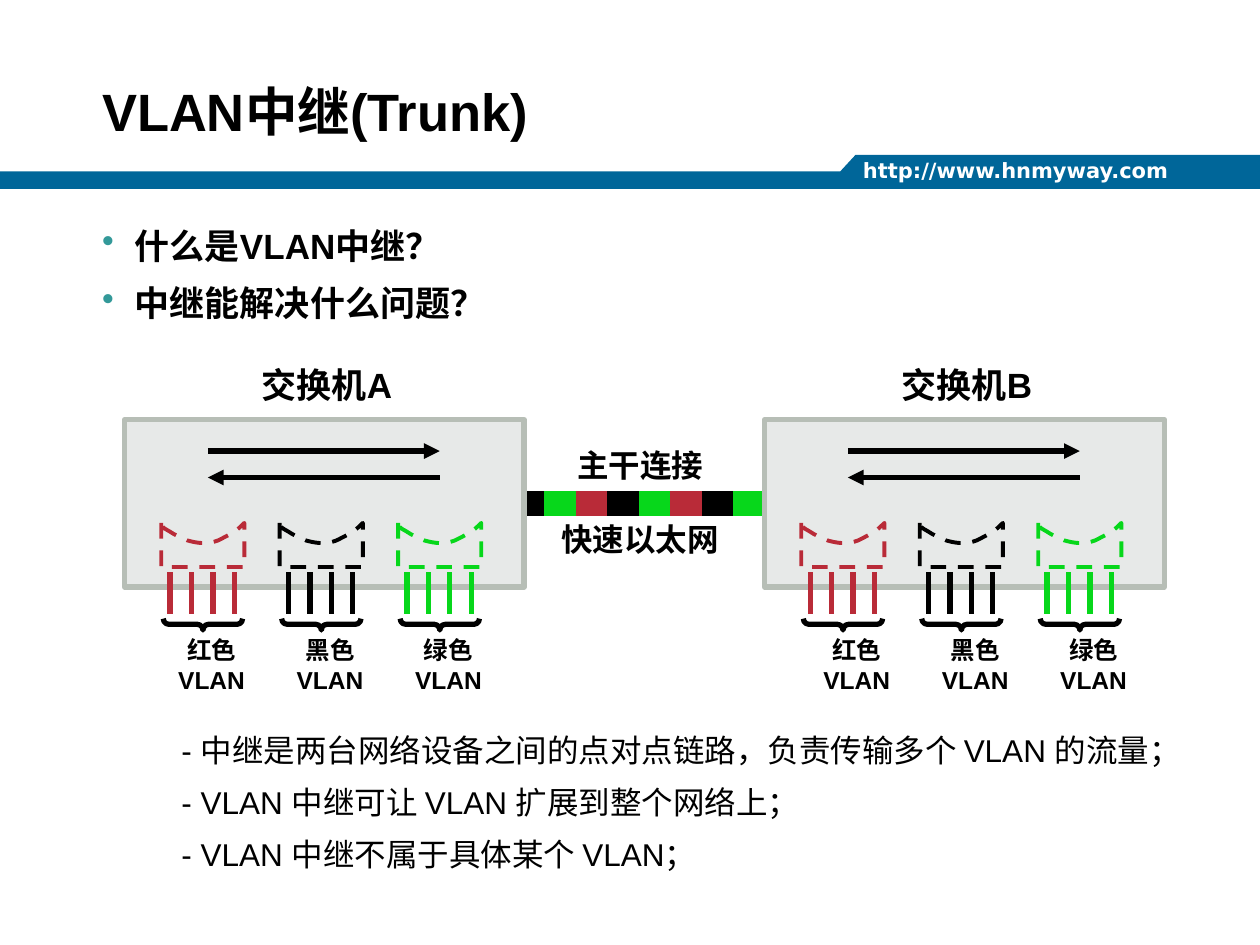
from lxml import etree
from pptx import Presentation
from pptx.dml.color import RGBColor
from pptx.enum.dml import MSO_LINE
from pptx.enum.shapes import MSO_CONNECTOR, MSO_SHAPE
from pptx.enum.text import MSO_ANCHOR, PP_ALIGN
from pptx.oxml.ns import qn
from pptx.util import Inches, Pt

STRAIGHT = MSO_CONNECTOR.STRAIGHT
RECTANGLE, BRACE = MSO_SHAPE.RECTANGLE, MSO_SHAPE.RIGHT_BRACE
DASH = MSO_LINE.DASH
TOP, MIDDLE, BOTTOM = MSO_ANCHOR.TOP, MSO_ANCHOR.MIDDLE, MSO_ANCHOR.BOTTOM
LEFT, CENTER = PP_ALIGN.LEFT, PP_ALIGN.CENTER
LEFT_SIDE, RIGHT_SIDE = 1, 3

# Content
TITLE = "VLAN中继(Trunk)"
ADDRESS = "http://www.hnmyway.com"
QUESTIONS = ["什么是VLAN中继？", "中继能解决什么问题？"]
NOTES = [
    "- 中继是两台网络设备之间的点对点链路，负责传输多个 VLAN 的流量；",
    "- VLAN 中继可让 VLAN 扩展到整个网络上；",
    "- VLAN 中继不属于具体某个 VLAN；",
]
SWITCHES = [("交换机A", 0.99, 0), ("交换机B", 6.07, 0.04)]  # name, left, label shift
VLANS = [("红色", "red"), ("黑色", "black"), ("绿色", "green")]
TRUNK_COLOURS = ["black", "green", "red"]
TRUNK_LABELS = [("主干连接", 3.49), ("快速以太网", 4.08)]

THEME = {
    "font": "Arial", "address_font": "DejaVu Sans",
    "title": 30, "heading": 20, "body": 18, "label": 14, "address": 12,
    "band": "006699", "white": "FFFFFF", "bullet": "339999",
    "red": "B92B38", "black": "000000", "green": "07D71B",
    "switch": "E7E9E8", "switch_edge": "B7BEB6",
}

# Geometry in inches
SWITCH_TOP, SWITCH_WIDTH, SWITCH_HEIGHT = 3.33, 3.17, 1.33
TRUNK_Y, TRUNK_LEFT, TRUNK_STEP, TRUNK_PARTS = SWITCH_TOP + SWITCH_HEIGHT / 2, 4.07, 0.25, 8
TRUNK_CENTER = 5.08
PORT_INSET, PORT_GAP, PORT_TOP, PORT_WIDTH, PORT_HEIGHT = 0.29, 0.94, 4.15, 0.66, 0.35
WIRE_INSET, WIRE_GAP, WIRE_COUNT = 0.07, 0.17, 4
BAND = [(0, 1.5), (0, 1.36), (6.67, 1.36), (6.79, 1.23), (10, 1.23), (10, 1.5)]
# Curved upper edge of a port, from right to left: two controls and an end each
PORT_CURVES = [
    [(0.62, 0.04), (0.62, 0.04), (0.58, 0.07)],
    [(0.53, 0.10), (0.51, 0.11), (0.45, 0.14)],
    [(0.39, 0.16), (0.37, 0.16), (0.33, 0.16)],
    [(0.29, 0.16), (0.25, 0.15), (0.21, 0.14)],
    [(0.17, 0.12), (0.13, 0.11), (0.07, 0.07)],
    [(0.04, 0.05), (0, 0.04), (0, 0)],
]


def colour(name):
    return RGBColor.from_string(THEME[name])


def add_text(lines, left, top, width, height, size, bold=True, ink="black", font="font",
             align=LEFT, anchor=TOP, wrap=True, spacing=None, before=0,
             margins=(0.1, 0.05), indent=0, bullet=False):
    box = page.shapes.add_textbox(Inches(left), Inches(top), Inches(width), Inches(height))
    frame = box.text_frame
    frame.text = "\n".join(lines)
    frame.word_wrap, frame.vertical_anchor = wrap, anchor
    frame.margin_left = frame.margin_right = Inches(margins[0])
    frame.margin_top = frame.margin_bottom = Inches(margins[1])
    for index, para in enumerate(frame.paragraphs):
        para.alignment = align
        if spacing:
            para.line_spacing = spacing
        if index and before:
            para.space_before = Pt(before)
        properties = para._p.get_or_add_pPr()
        if indent:
            properties.set("marL", str(Inches(indent)))
        if bullet:
            properties.set("indent", str(-Inches(indent)))
            tint = etree.SubElement(properties, qn("a:buClr"))
            etree.SubElement(tint, qn("a:srgbClr"), val=THEME["bullet"])
            etree.SubElement(properties, qn("a:buChar"), char="•")
        for span in para.runs:
            span.font.name, span.font.size = THEME[font], Pt(THEME[size])
            span.font.bold, span.font.color.rgb = bold, colour(ink)


def add_centered(lines, center, top, height, size):
    width = 1.5
    add_text(lines, center - width / 2, top, width, height, size,
             align=CENTER, anchor=MIDDLE, wrap=False)


def add_line(x1, y1, x2, y2, ink, weight, arrow=False):
    line = page.shapes.add_connector(STRAIGHT, *map(Inches, (x1, y1, x2, y2)))
    line.line.color.rgb, line.line.width = colour(ink), Pt(weight)
    etree.SubElement(line._element.spPr, qn("a:effectLst"))
    if arrow:
        etree.SubElement(line.line._get_or_add_ln(), qn("a:tailEnd"), type="triangle")
    return line


def style_shape(shape, fill=None, edge=None, weight=3):
    shape.shadow.inherit = False
    if fill:
        shape.fill.solid()
        shape.fill.fore_color.rgb = colour(fill)
    else:
        shape.fill.background()
    if edge:
        shape.line.color.rgb, shape.line.width = colour(edge), Pt(weight)
    else:
        shape.line.fill.background()


def add_outline(points):
    points = [(Inches(x), Inches(y)) for x, y in points]
    builder = page.shapes.build_freeform(*points[0], scale=1.0)
    builder.add_line_segments(points[1:], close=True)
    return builder.convert_to_shape()


def port_points(left, steps=6):
    points = [(0, 0), (0, PORT_HEIGHT), (PORT_WIDTH, PORT_HEIGHT), (PORT_WIDTH, 0)]
    for first, second, end in PORT_CURVES:
        start = points[-1]
        for step in range(1, steps + 1):
            t = step / steps
            weights = ((1 - t) ** 3, 3 * t * (1 - t) ** 2, 3 * t * t * (1 - t), t ** 3)
            corners = (start, first, second, end)
            points.append(tuple(sum(w * c[axis] for w, c in zip(weights, corners))
                                for axis in (0, 1)))
    return [(left + x, PORT_TOP + y) for x, y in points]


def add_port(left, name, ink, label_shift):
    port = add_outline(port_points(left))
    style_shape(port, edge=ink, weight=2.25)
    port.line.dash_style = DASH
    for wire in range(WIRE_COUNT):
        x = left + WIRE_INSET + wire * WIRE_GAP
        add_line(x, 4.54, x, 4.87, ink, 3)
    center = left + PORT_WIDTH / 2
    brace = page.shapes.add_shape(BRACE, Inches(center - 0.045), Inches(4.64),
                                  Inches(0.09), Inches(0.63))
    brace.rotation = 90
    brace.adjustments[0] = 0.5
    style_shape(brace, edge="black")
    add_centered([name, "VLAN"], center + 0.07 + label_shift, 4.99, 0.57, "label")


def add_switch(name, left, label_shift):
    center = left + SWITCH_WIDTH / 2
    add_centered([name], center + 0.02, 2.83, 0.44, "heading")
    switch = page.shapes.add_shape(RECTANGLE, Inches(left), Inches(SWITCH_TOP),
                                   Inches(SWITCH_WIDTH), Inches(SWITCH_HEIGHT))
    style_shape(switch, "switch", "switch_edge")
    start, end = left + 0.66, left + 2.5
    add_line(start, 3.58, end, 3.58, "black", 3, arrow=True)
    add_line(end, 3.79, start, 3.79, "black", 3, arrow=True)
    for index, (vlan, ink) in enumerate(VLANS):
        add_port(left + PORT_INSET + index * PORT_GAP, vlan, ink, label_shift)
    return switch


deck = Presentation()
deck.slide_width, deck.slide_height = Inches(10), Inches(7.5)
page = deck.slides.add_slide(deck.slide_layouts[6])

# Header
style_shape(add_outline(BAND), "band")
add_text([ADDRESS], 6.75, 1.2, 2.92, 0.3, "address", ink="white", font="address_font")
add_text([TITLE], 0.72, 0.25, 8.91, 0.92, "title", anchor=BOTTOM, spacing=0.9,
         margins=(0.09, 0.04))

# Questions and notes
add_text(QUESTIONS, 0.72, 1.79, 8.9, 0.9, "heading", spacing=0.85, before=12.5,
         margins=(0.09, 0.04), indent=0.26, bullet=True)
add_text(NOTES, 0.72, 5.81, 9.28, 1.3, "body", bold=False, spacing=0.85, before=11.2,
         margins=(0.09, 0.04), indent=0.63)

# Trunk, behind the switches it joins
trunk = []
for part in range(TRUNK_PARTS):
    x = TRUNK_LEFT + part * TRUNK_STEP
    ink = TRUNK_COLOURS[part % len(TRUNK_COLOURS)]
    trunk.append(add_line(x, TRUNK_Y, x + TRUNK_STEP, TRUNK_Y, ink, 14))
switch_a, switch_b = [add_switch(*switch) for switch in SWITCHES]
trunk[0].begin_connect(switch_a, RIGHT_SIDE)
trunk[-1].end_connect(switch_b, LEFT_SIDE)
for label, top in TRUNK_LABELS:
    add_centered([label], TRUNK_CENTER, top, 0.4, "body")

deck.save("out.pptx")
